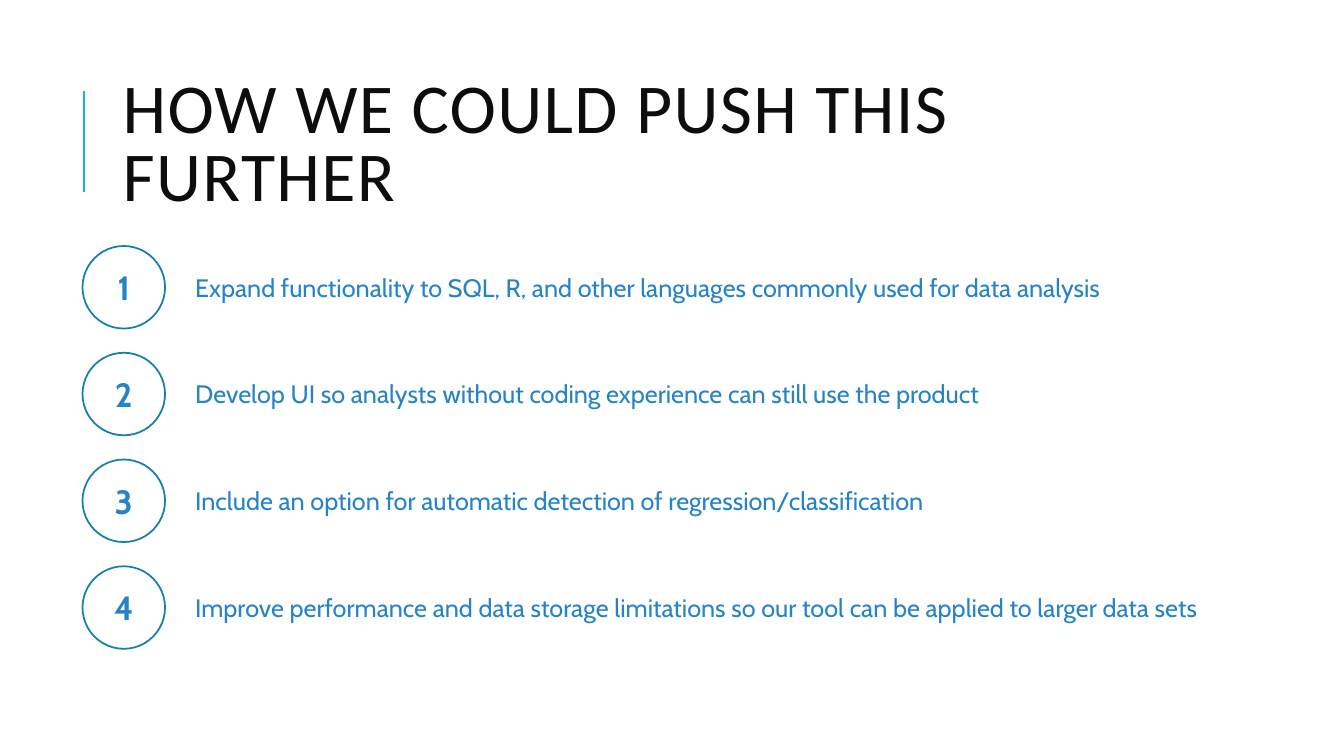
from pptx import Presentation
from pptx.dml.color import RGBColor
from pptx.enum.shapes import MSO_CONNECTOR, MSO_SHAPE
from pptx.enum.text import MSO_ANCHOR, MSO_AUTO_SIZE, PP_ALIGN
from pptx.oxml.ns import qn
from pptx.util import Cm, Pt
from lxml import etree

STRAIGHT = MSO_CONNECTOR.STRAIGHT
OVAL = MSO_SHAPE.OVAL
TOP = MSO_ANCHOR.TOP
MIDDLE = MSO_ANCHOR.MIDDLE
LEFT = PP_ALIGN.LEFT
CENTER = PP_ALIGN.CENTER
FIT_SHAPE = MSO_AUTO_SIZE.SHAPE_TO_FIT_TEXT

TITLE = "HOW WE COULD PUSH THIS FURTHER"
IDEAS = [
    "Expand functionality to SQL, R, and other languages commonly used for data analysis",
    "Develop UI so analysts without coding experience can still use the product",
    "Include an option for automatic detection of regression/classification",
    "Improve performance and data storage limitations so our tool can be applied to larger data sets",
]
TITLE_FORMAT = {"name": "Calibri", "size": Pt(50)}
NUMBER_FORMAT = {"name": "Cabin", "size": Pt(24), "bold": True}
IDEA_FORMAT = {"name": "Cabin", "size": Pt(18)}

FIRST_TOP = 6.2
ROW_PITCH = 2.69
CIRCLE_LEFT = 2.08
CIRCLE_SIZE = 2.08
IDEA_LEFT = 4.67
IDEA_OFFSET = 0.53


def color(value):
    """Turn a hex string into a colour."""
    return RGBColor.from_string(value)


def write_text(shape, text, font_format, font_color, anchor=TOP, alignment=LEFT):
    """Put one formatted paragraph into a shape and return the paragraph."""
    frame = shape.text_frame
    frame.word_wrap = True
    frame.vertical_anchor = anchor
    paragraph = frame.paragraphs[0]
    paragraph.alignment = alignment
    run = paragraph.add_run()
    run.text = text
    for attribute, value in font_format.items():
        setattr(run.font, attribute, value)
    run.font.color.rgb = color(font_color)
    return paragraph


def add_accent_line(slide):
    """Draw the upright line beside the title."""
    line = slide.shapes.add_connector(STRAIGHT, Cm(2.11), Cm(4.83), Cm(2.11), Cm(2.29))
    line.line.color.rgb = color("1CADE4")
    line.line.width = Pt(1.5)
    etree.SubElement(line._element.spPr, qn("a:effectLst"))


def add_title(slide):
    """Add the letter-spaced title."""
    box = slide.shapes.add_textbox(Cm(2.84), Cm(1.63), Cm(27), Cm(4.17))
    paragraph = write_text(box, TITLE, TITLE_FORMAT, "0D0D0D", MIDDLE)
    paragraph.line_spacing = 0.8
    paragraph.runs[0]._r.get_or_add_rPr().set("spc", "100")


def add_number(slide, number, top):
    """Add a numbered circle."""
    circle = slide.shapes.add_shape(
        OVAL, Cm(CIRCLE_LEFT), Cm(top), Cm(CIRCLE_SIZE), Cm(CIRCLE_SIZE)
    )
    circle.shadow.inherit = False
    circle.fill.solid()
    circle.fill.fore_color.rgb = color("FFFFFF")
    circle.line.color.rgb = color("1580A9")
    circle.line.width = Pt(1.25)
    write_text(circle, str(number), NUMBER_FORMAT, "2683C6", MIDDLE, CENTER)


def add_idea(slide, text, top):
    """Add the text beside a numbered circle."""
    box = slide.shapes.add_textbox(Cm(IDEA_LEFT), Cm(top), Cm(26.37), Cm(1.02))
    write_text(box, text, IDEA_FORMAT, "2683C6")
    box.text_frame.auto_size = FIT_SHAPE


def main():
    """Build and save the slide."""
    presentation = Presentation()
    presentation.slide_width = Cm(33.87)
    presentation.slide_height = Cm(19.05)
    slide = presentation.slides.add_slide(presentation.slide_layouts[6])
    add_accent_line(slide)
    add_title(slide)
    for index, idea in enumerate(IDEAS):
        top = FIRST_TOP + index * ROW_PITCH
        add_number(slide, index + 1, top)
        add_idea(slide, idea, top + IDEA_OFFSET)
    presentation.save("out.pptx")


if __name__ == "__main__":
    main()
